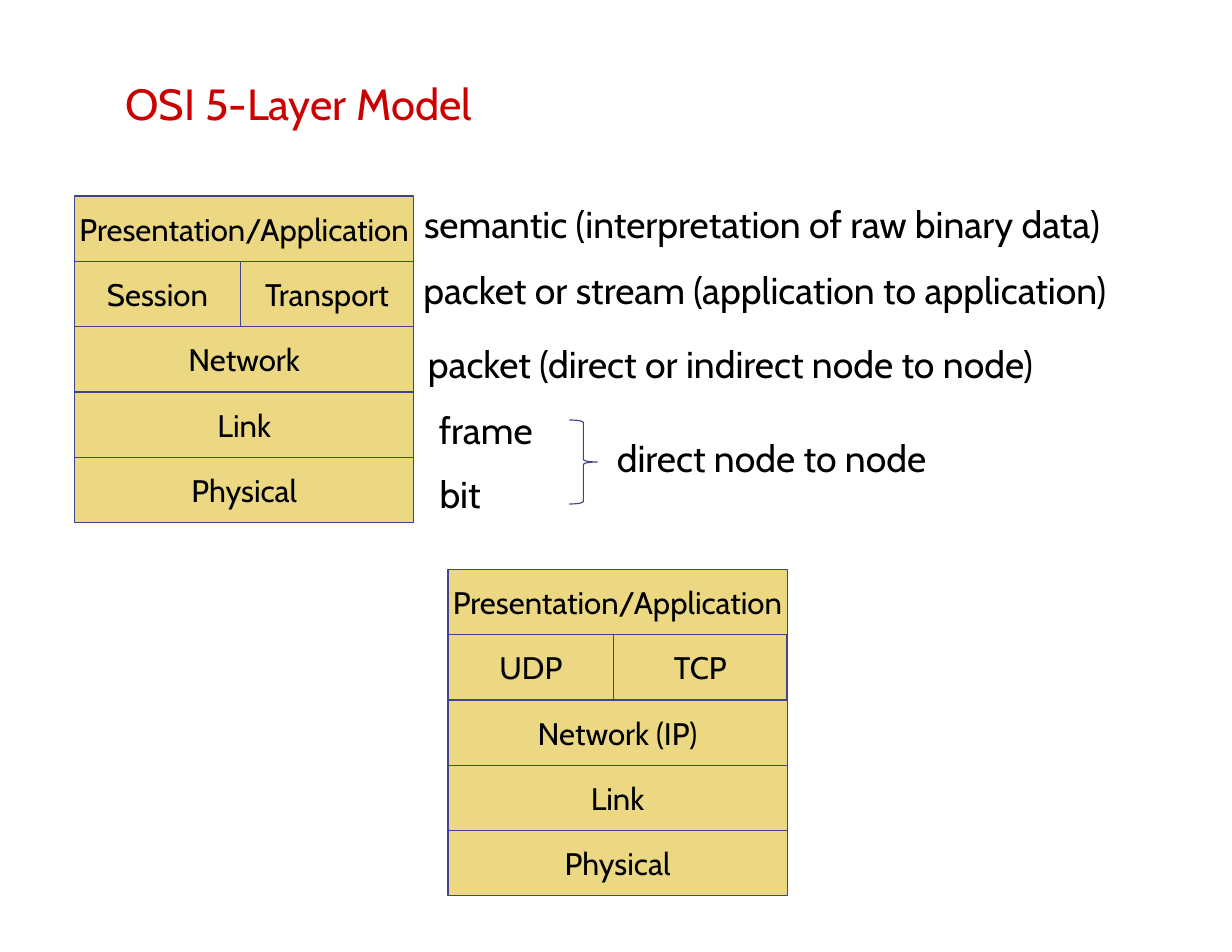
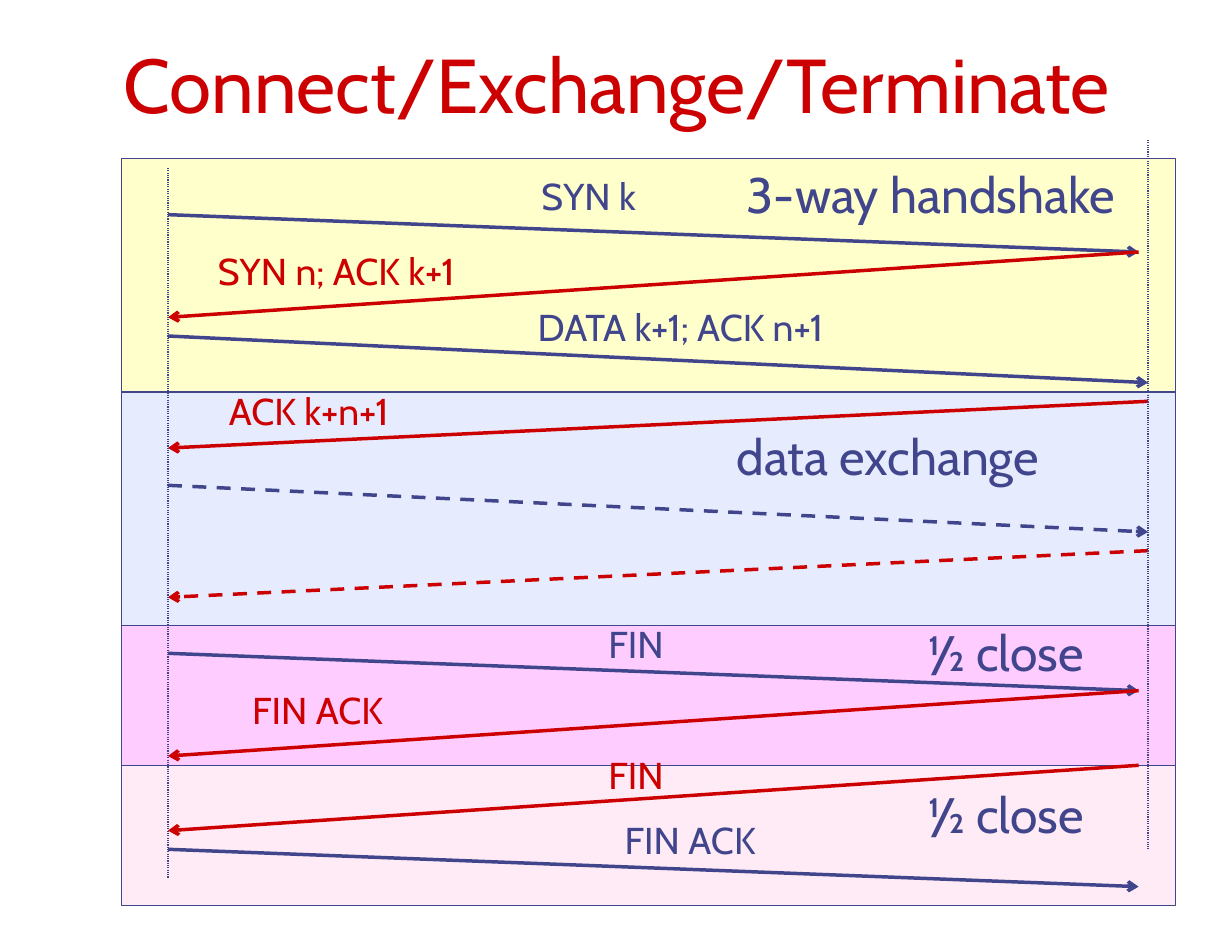
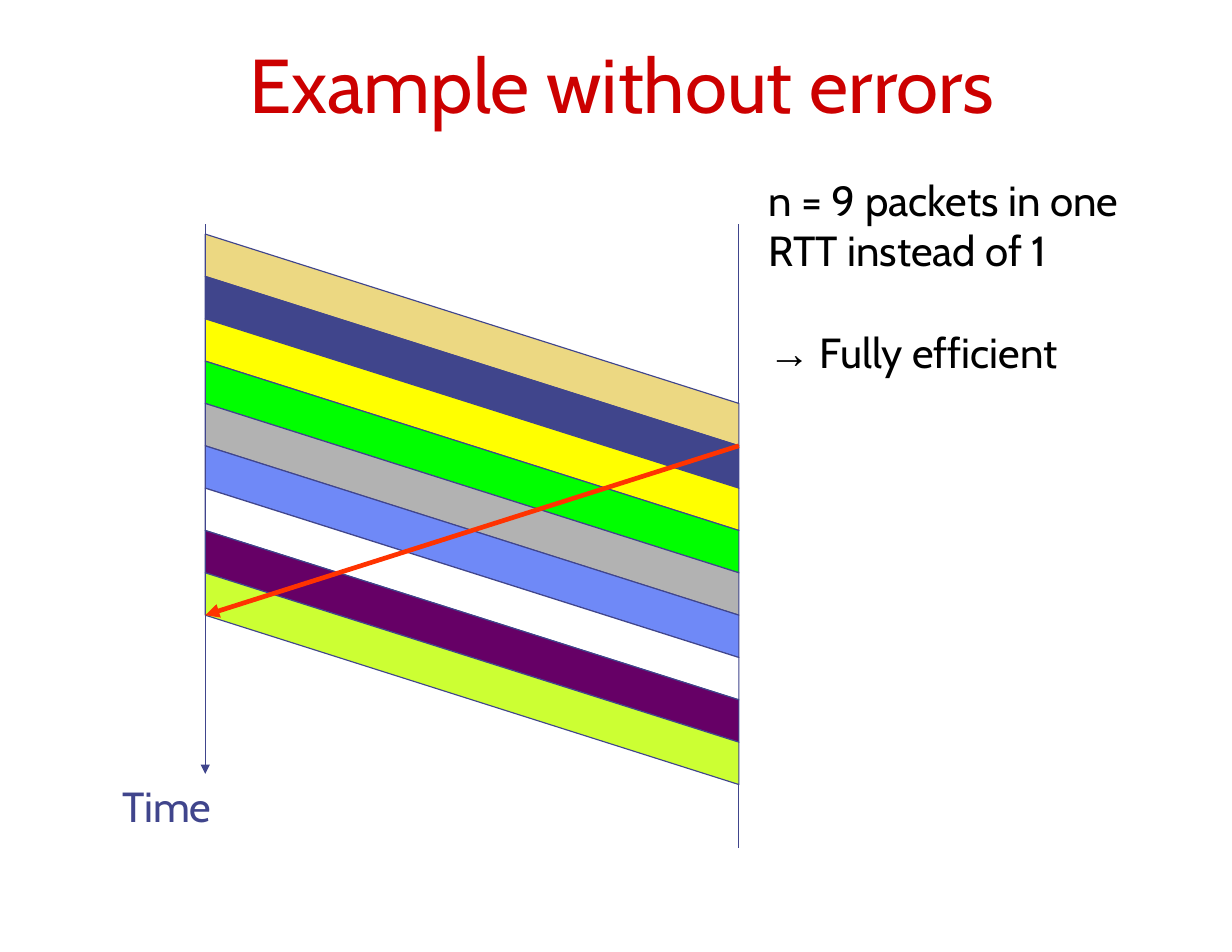
from pptx import Presentation
from pptx.dml.color import RGBColor
from pptx.enum.dml import MSO_LINE
from pptx.enum.shapes import MSO_CONNECTOR, MSO_SHAPE
from pptx.enum.text import MSO_ANCHOR, MSO_AUTO_SIZE, PP_ALIGN
from pptx.oxml.ns import qn
from pptx.util import Pt
from lxml import etree

STRAIGHT = MSO_CONNECTOR.STRAIGHT
RECTANGLE, RIGHT_BRACE = MSO_SHAPE.RECTANGLE, MSO_SHAPE.RIGHT_BRACE
DASH, DOTS = MSO_LINE.DASH, MSO_LINE.ROUND_DOT
TOP, MIDDLE, BOTTOM = MSO_ANCHOR.TOP, MSO_ANCHOR.MIDDLE, MSO_ANCHOR.BOTTOM
LEFT, CENTER = PP_ALIGN.LEFT, PP_ALIGN.CENTER
GROW = MSO_AUTO_SIZE.SHAPE_TO_FIT_TEXT

FONT, SYMBOL_FONT = "Cabin", "Arial"
BLACK = RGBColor(0x00, 0x00, 0x00)
WHITE = RGBColor(0xFF, 0xFF, 0xFF)
RED = RGBColor(0xCC, 0x00, 0x00)
INDIGO = RGBColor(0x40, 0x45, 0x8C)
SAND = RGBColor(0xEC, 0xD8, 0x82)
CREAM = RGBColor(0xFF, 0xFF, 0xCC)
PALE_BLUE = RGBColor(0xE6, 0xEC, 0xFE)
PINK = RGBColor(0xFF, 0xCC, 0xFF)
PALE_PINK = RGBColor(0xFF, 0xEB, 0xF5)
YELLOW = RGBColor(0xFF, 0xFF, 0x00)
GREEN = RGBColor(0x00, 0xFF, 0x00)
GRAY = RGBColor(0xB2, 0xB2, 0xB2)
BLUE = RGBColor(0x6F, 0x89, 0xF7)
PURPLE = RGBColor(0x66, 0x00, 0x66)
LIME = RGBColor(0xCC, 0xFF, 0x33)
ORANGE = RGBColor(0xFF, 0x33, 0x00)

THIN = 0.75
NARROW, WIDE = (7.2, 3.6), (8, 4)  # horizontal and vertical text insets


class Deck:
    """Holds the shared style and the slide (or group) being drawn on."""

    def __init__(self):
        self.prs = Presentation()
        self.prs.slide_width, self.prs.slide_height = Pt(792), Pt(612)

    def new_slide(self):
        self.slide = self.prs.slides.add_slide(self.prs.slide_layouts[6])
        self.shapes = self.slide.shapes

    def begin_group(self):
        self.shapes = self.slide.shapes.add_group_shape().shapes

    def end_group(self):
        self.shapes = self.slide.shapes

    def style_runs(self, paragraph, size, color, align=LEFT):
        paragraph.alignment = align
        for run in paragraph.runs:
            run.font.name = FONT
            run.font.size = Pt(size)
            run.font.color.rgb = color

    def set_insets(self, frame, insets):
        frame.margin_left = frame.margin_right = Pt(insets[0])
        frame.margin_top = frame.margin_bottom = Pt(insets[1])

    def text(self, content, x, y, w, h, size=24, color=BLACK, insets=NARROW,
             align=LEFT, anchor=TOP, wrap=False):
        frame = self.shapes.add_textbox(Pt(x), Pt(y), Pt(w), Pt(h)).text_frame
        frame.text = content
        frame.word_wrap = wrap
        frame.vertical_anchor = anchor
        if anchor == TOP:
            frame.auto_size = GROW
        self.set_insets(frame, insets)
        self.style_runs(frame.paragraphs[0], size, color, align)
        return frame

    def title(self, content, x, y, w, h, size=49, insets=WIDE, anchor=BOTTOM):
        self.text(content, x, y, w, h, size, RED, insets, CENTER, anchor, True)

    def outline(self, shape, fill=None):
        shape.shadow.inherit = False
        if fill is None:
            shape.fill.background()
        else:
            shape.fill.solid()
            shape.fill.fore_color.rgb = fill
        shape.line.color.rgb = INDIGO
        shape.line.width = Pt(THIN)

    def shape(self, kind, x, y, w, h, fill=None, label=""):
        shape = self.shapes.add_shape(kind, Pt(x), Pt(y), Pt(w), Pt(h))
        self.outline(shape, fill)
        if label:
            frame = shape.text_frame
            frame.text = label
            frame.word_wrap = False
            frame.vertical_anchor = MIDDLE
            self.style_runs(frame.paragraphs[0], 20, BLACK, CENTER)

    def polygon(self, points, fill):
        first, *rest = [(Pt(x), Pt(y)) for x, y in points]
        builder = self.shapes.build_freeform(*first)
        builder.add_line_segments(rest, close=True)
        self.outline(builder.convert_to_shape(), fill)

    def line(self, start, end, color=INDIGO, width=THIN, dash=None, head=None):
        x1, y1, x2, y2 = (Pt(v) for v in (*start, *end))
        line = self.shapes.add_connector(STRAIGHT, x1, y1, x2, y2)
        line.line.color.rgb = color
        line.line.width = Pt(width)
        if dash is not None:
            line.line.dash_style = dash
        properties = line.element.spPr
        if head:
            stroke = properties.find(qn("a:ln"))
            etree.SubElement(stroke, qn("a:tailEnd")).set("type", head)
        etree.SubElement(properties, qn("a:effectLst"))


def layer_stack(deck, left, top, rows):
    """Stack rows of one or two layers, split at a fixed column."""
    width, split, row_height = 218, 106.5, 42
    for i, names in enumerate(rows):
        y = top + i * row_height
        edges = [0, width] if len(names) == 1 else [0, split, width]
        for name, a, b in zip(names, edges, edges[1:]):
            deck.shape(RECTANGLE, left + a, y, b - a, row_height, SAND, name)


def osi_slide(deck):
    deck.new_slide()
    deck.title("OSI 5-Layer Model", 42, 30, 300, 72, 28, (0, 0), MIDDLE)
    layer_stack(deck, 48, 126, [
        ["Presentation/Application"], ["Session", "Transport"],
        ["Network"], ["Link"], ["Physical"]])
    layer_stack(deck, 288, 366, [
        ["Presentation/Application"], ["UDP", "TCP"],
        ["Network (IP)"], ["Link"], ["Physical"]])

    # What each layer handles
    for unit, x, y, w in [
            ("semantic (interpretation of raw binary data)", 265.5, 126, 506),
            ("packet or stream (application to application)", 265, 168, 510.5),
            ("packet (direct or indirect node to node)", 268, 216, 453.5),
            ("frame", 275, 258, 82),
            ("bit", 275.5, 299.5, 44),
            ("direct node to node", 389.5, 276, 236)]:
        deck.text(unit, x, y, w, 36)
    deck.shape(RIGHT_BRACE, 366, 270, 18, 54)


def handshake_slide(deck):
    client, server, server_near = 108, 738, 732
    # Phase: top, height, fill, name (text, x, y, width),
    # messages (from, to, dash), labels (text, x, y, width, colour)
    phases = [
        (102, 150, CREAM, ("3-way handshake", 473, 102, 277),
         [((client, 138), (server_near, 162), None),
          ((server_near, 162), (client, 204), None),
          ((client, 216), (server, 246), None)],
         [("SYN k", 341, 108, 79, INDIGO),
          ("SYN n; ACK k+1", 133, 156, 185, RED),
          ("DATA k+1; ACK n+1", 338.5, 192, 229, INDIGO)]),
        (252, 150, PALE_BLUE, ("data exchange", 466.5, 270, 235.5),
         [((server, 258), (client, 288), None),
          ((client, 312), (server, 342), DASH),
          ((server, 354), (client, 384), DASH)],
         [("ACK k+n+1", 140, 246, 134.5, RED)]),
        (402, 90, PINK, ("½ close", 590, 396, 124),
         [((client, 420), (server_near, 444), None),
          ((server_near, 444), (client, 486), None)],
         [("FIN", 384, 396, 53, INDIGO), ("FIN ACK", 155, 438, 104, RED)]),
        (492, 90, PALE_PINK, ("½ close", 590, 500.5, 124),
         [((server_near, 492), (client, 534), None),
          ((client, 546), (server_near, 570), None)],
         [("FIN", 384, 480, 53, RED), ("FIN ACK", 394.5, 522, 104, INDIGO)]),
    ]
    deck.new_slide()
    for top, height, fill, name, messages, labels in phases:
        deck.begin_group()
        deck.shape(RECTANGLE, 78, top, 678, height, fill)
        for start, end, dash in messages:
            color = INDIGO if start[0] == client else RED
            deck.line(start, end, color, 2.25, dash, "arrow")
        for label, x, y, w, color in labels:
            deck.text(label, x, y, w, 36, color=color)
        deck.text(*name, 46, 32, INDIGO)
    deck.end_group()

    deck.title("Connect/Exchange/Terminate", 60, 24, 673, 63)
    # Lifelines of the two ends
    deck.line((client, 108), (client, 564.5), dash=DOTS)
    deck.line((server, 90), (server, 546), dash=DOTS)


def pipeline_slide(deck):
    sender, receiver, first_sent, packet_time = 132, 475, 150.5, 27.22
    delay = 4 * packet_time
    packets = [SAND, INDIGO, YELLOW, GREEN, GRAY, BLUE, WHITE, PURPLE, LIME]

    deck.new_slide()
    deck.title("Example without errors", 30, 42, 739.5, 44.5)

    # Time axes
    deck.line((sender, 144), (sender, 497.5), head="triangle")
    deck.line((receiver, 144), (receiver, 545))
    deck.text("Time", 70.5, 497.5, 78.5, 40, 27, INDIGO, WIDE)

    # Packets in flight
    for i, fill in enumerate(packets):
        start = first_sent + i * packet_time
        end = start + packet_time
        deck.polygon([(sender, start), (receiver, start + delay),
                      (receiver, end + delay), (sender, end)], fill)

    # Acknowledgement of the first packet
    first_received = first_sent + packet_time + delay
    deck.line((receiver, first_received), (sender, first_received + delay),
              ORANGE, 3, head="triangle")

    # Conclusion
    frame = deck.text("n = 9 packets in one RTT instead of 1", 486, 108, 277,
                      137.5, 27, insets=WIDE, wrap=True)
    result = frame.add_paragraph()
    result.space_before = Pt(33)
    arrow = result.add_run()
    arrow.text = "→"
    result.add_run().text = " Fully efficient"
    deck.style_runs(result, 27, BLACK)
    arrow.font.name = SYMBOL_FONT


def main():
    deck = Deck()
    osi_slide(deck)
    handshake_slide(deck)
    pipeline_slide(deck)
    deck.prs.save("out.pptx")


if __name__ == "__main__":
    main()
